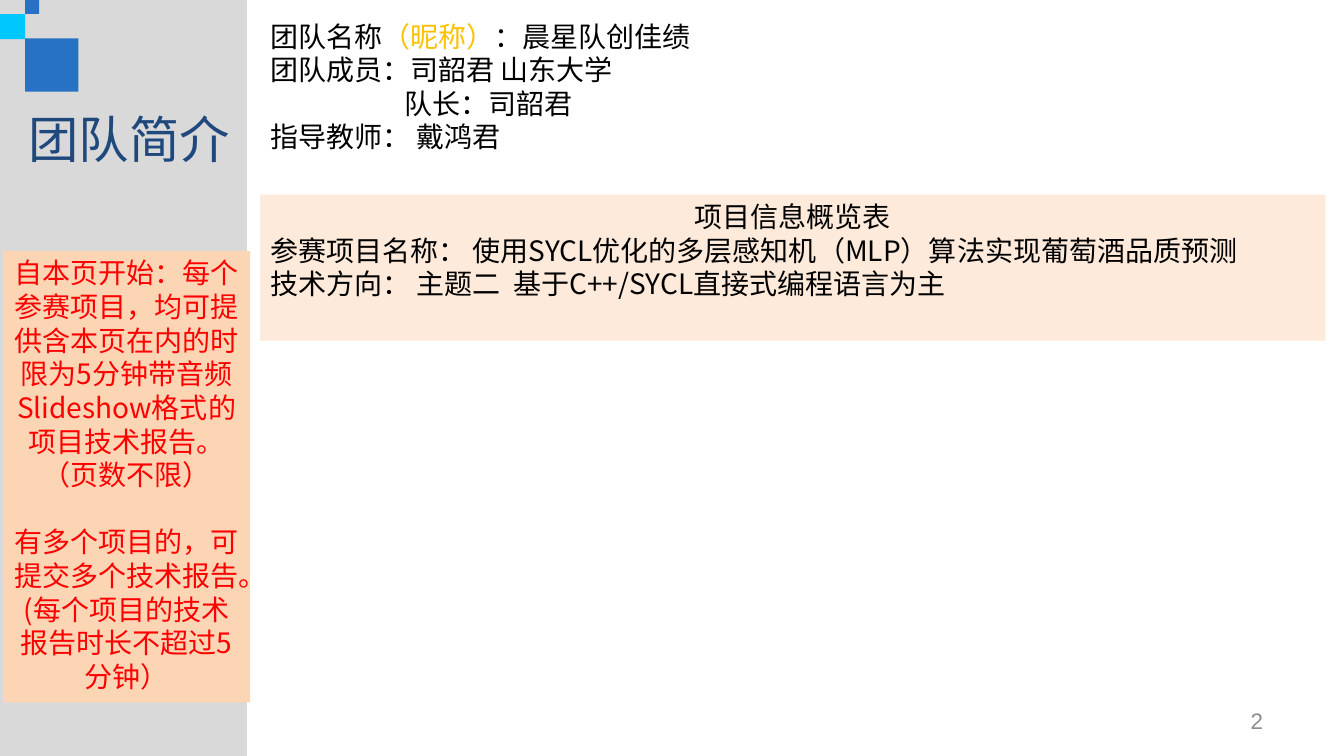
"""Builds the team introduction slide."""
from lxml import etree
from pptx import Presentation
from pptx.enum.shapes import MSO_SHAPE
from pptx.enum.text import MSO_ANCHOR, MSO_AUTO_SIZE, PP_ALIGN
from pptx.dml.color import RGBColor
from pptx.oxml.ns import qn
from pptx.util import Pt

RECTANGLE = MSO_SHAPE.RECTANGLE
LEFT, CENTER, RIGHT = PP_ALIGN.LEFT, PP_ALIGN.CENTER, PP_ALIGN.RIGHT
TOP, MIDDLE = MSO_ANCHOR.TOP, MSO_ANCHOR.MIDDLE
NO_AUTOFIT = MSO_AUTO_SIZE.NONE

CJK, LATIN = "Noto Sans CJK SC", "Arial"
COLORS = {
    "panel": "D9D9D9", "blue": "2872C5", "cyan": "00C7FD", "title": "1F497D",
    "number": "8C8C8C", "text": "000000", "nickname": "FFC000",
    "overview": "FDEADA", "note": "FCD5B5", "warning": "FF0000",
}
CONTENT_LEFT, CONTENT_WIDTH, CONTENT_HEIGHT = 185.8, 761, 104.4


def write(shape, lines, size=20, color="text", font=CJK, aligns=(LEFT,), anchor=TOP,
          wrap=True, gap=0, indents=None, insets=(7.2, 3.6)):
    """Write lines, each a list of (text, color or None) runs; the last align repeats."""
    frame = shape.text_frame
    frame.auto_size, frame.word_wrap, frame.vertical_anchor = NO_AUTOFIT, wrap, anchor
    frame.margin_left = frame.margin_right = Pt(insets[0])
    frame.margin_top = frame.margin_bottom = Pt(insets[1])
    for index, runs in enumerate(lines):
        paragraph = frame.add_paragraph() if index else frame.paragraphs[0]
        paragraph.alignment = aligns[min(index, len(aligns) - 1)]
        paragraph.line_spacing = Pt(size * 1.2)
        paragraph.space_before = Pt(gap if index else 0)
        properties = paragraph._p.get_or_add_pPr()
        properties.set("marL", str(Pt((indents or {}).get(index, 0))))
        properties.set("indent", "0")
        etree.SubElement(properties, qn("a:buNone"))
        for text, run_color in runs:
            run = paragraph.add_run()
            run.text = text
            run.font.size = Pt(size)
            run.font.color.rgb = RGBColor.from_string(COLORS[run_color or color])
            run.font.name = font
            east_asian = etree.SubElement(run._r.get_or_add_rPr(), qn("a:ea"))
            east_asian.set("typeface", font)


class TeamSlide:
    """Holds the current slide and its drawing methods."""

    def __init__(self, deck):
        self.slide = deck.slides.add_slide(deck.slide_layouts[1])
        self.shapes = self.slide.shapes

    def block(self, box, color, parent=None):
        """Add a plain filled rectangle."""
        block = (parent or self).shapes.add_shape(RECTANGLE, *map(Pt, box))
        block.shadow.inherit = False
        block.fill.solid()
        block.fill.fore_color.rgb = RGBColor.from_string(COLORS[color])
        block.line.fill.background()
        return block

    def backdrop(self, box, color):
        """Add a rectangle behind everything else."""
        panel = self.block(box, color)
        self.shapes.title.element.addprevious(panel.element)

    def squares(self, squares):
        """Add a group of filled squares."""
        group = self.shapes.add_group_shape()
        for left, top, side, color in squares:
            self.block((left, top, side, side), color, group)

    def placeholder(self, index, box, lines, **style):
        """Move a template placeholder and fill it."""
        holder = self.slide.placeholders[index]
        holder.left, holder.top, holder.width, holder.height = map(Pt, box)
        write(holder, lines, **style)

    def label(self, box, lines, **style):
        """Add a text box."""
        write(self.shapes.add_textbox(*map(Pt, box)), lines, **style)


def main():
    """Build and save the deck."""
    deck = Presentation()
    deck.slide_width, deck.slide_height = Pt(960), Pt(540)
    team = TeamSlide(deck)

    team.backdrop((0, 0, 176.4, 540), "panel")
    team.squares([(18, 27.4, 38, "blue"), (0, 10, 18, "cyan"), (18, 0, 10, "blue")])
    team.placeholder(0, (13, 73.4, 160, 51), [[("团队简介", None)]],
                     size=36, color="title", wrap=False)
    team.placeholder(1, (CONTENT_LEFT, 10, CONTENT_WIDTH, CONTENT_HEIGHT), [
        [("团队名称", None), ("（昵称）", "nickname"), ("：晨星队创佳绩", None)],
        [("团队成员：司韶君 山东大学", None)],
        [("队长：司韶君", None)],
        [("指导教师： 戴鸿君", None)],
    ], indents={2: 96})

    overview = team.block((CONTENT_LEFT, 139, CONTENT_WIDTH, CONTENT_HEIGHT), "overview")
    write(overview, [
        [("项目信息概览表", None)],
        [("参赛项目名称： 使用SYCL优化的多层感知机（MLP）算法实现葡萄酒品质预测", None)],
        [("技术方向： 主题二  基于C++/SYCL直接式编程语言为主", None)],
    ], aligns=(CENTER, LEFT))

    report_note = team.block((2.2, 179.3, 176.4, 322.5), "note")
    write(report_note, [
        [("自本页开始：每个参赛项目，均可提供含本页在内的时限为5分钟带音频"
          "Slideshow格式的项目技术报告。（页数不限）", None)],
        [("有多个项目的，可提交多个技术报告。(每个项目的技术报告时长不超过5分钟）", None)],
    ], color="warning", aligns=(CENTER,), gap=24)

    team.label((687.6, 500.4, 224, 28.8), [[("2", None)]], size=16, color="number",
               font=LATIN, aligns=(RIGHT,), anchor=MIDDLE, insets=(9.4, 5))
    deck.save("out.pptx")


if __name__ == "__main__":
    main()
